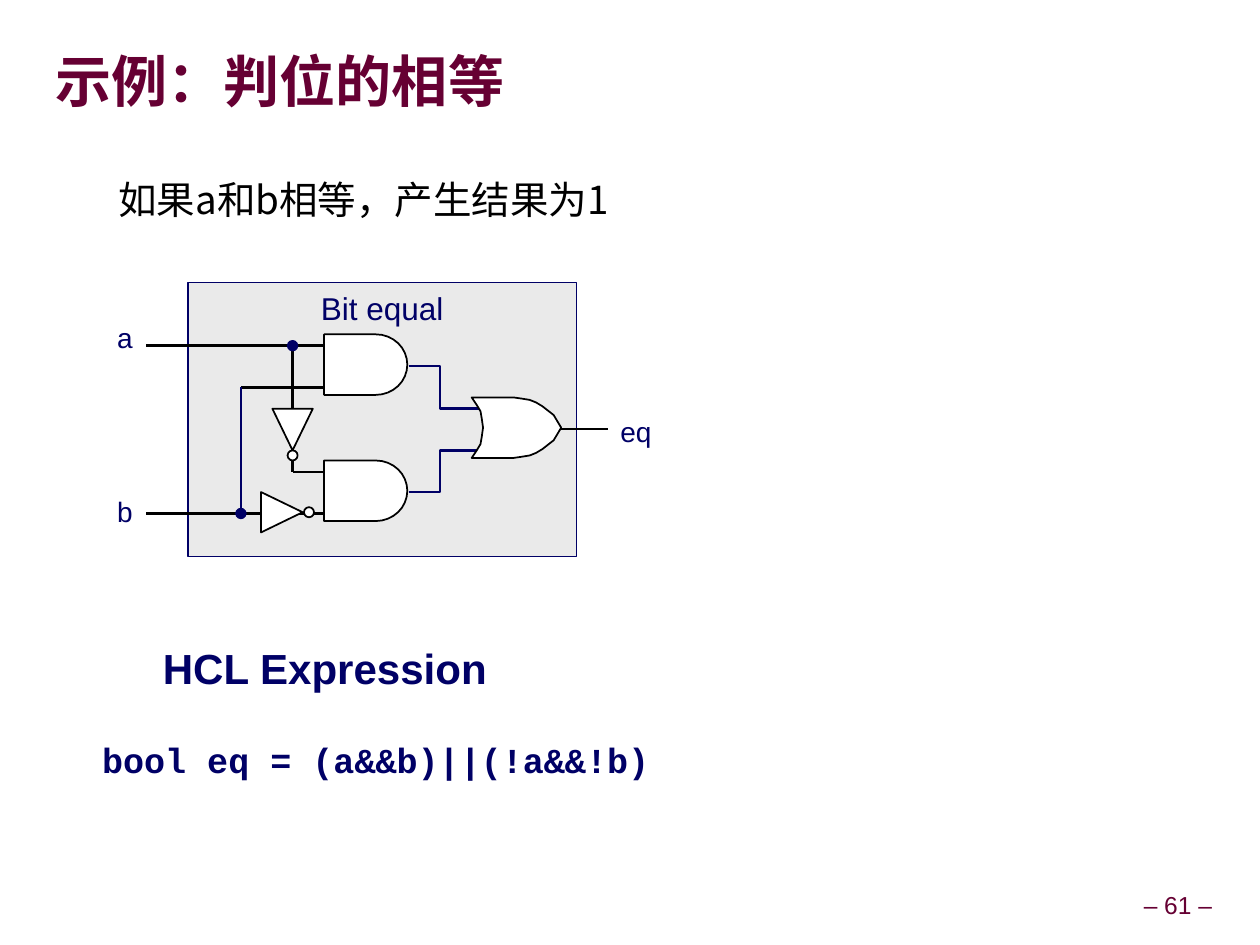
from math import cos, pi, sin

from lxml import etree
from pptx import Presentation
from pptx.dml.color import RGBColor
from pptx.enum.shapes import MSO_CONNECTOR, MSO_SHAPE
from pptx.enum.text import MSO_ANCHOR, MSO_AUTO_SIZE, PP_ALIGN
from pptx.oxml.ns import qn
from pptx.util import Inches, Pt

RECT, OVAL = MSO_SHAPE.RECTANGLE, MSO_SHAPE.OVAL
STRAIGHT = MSO_CONNECTOR.STRAIGHT
LEFT, CENTER, RIGHT = PP_ALIGN.LEFT, PP_ALIGN.CENTER, PP_ALIGN.RIGHT
TOP, MIDDLE = MSO_ANCHOR.TOP, MSO_ANCHOR.MIDDLE
NO_FIT = MSO_AUTO_SIZE.NONE

NAVY, MAROON, BLACK, WHITE, GREY = "000066", "660033", "000000", "FFFFFF", "EAEAEA"
SANS, MONO, CJK = "Arial", "Courier New", "Noto Sans CJK SC"


def rgb(value):
    """Turn a hex string into a colour."""
    return RGBColor.from_string(value)


class CircuitSlide:
    """Hold the slide and draw text, wires and gates on it."""

    def __init__(self, prs):
        """Add a slide with a title and a body."""
        self.s = prs.slides.add_slide(prs.slide_layouts[1])

    def fill_text(self, sp, text, size, color=NAVY, font=SANS, bold=False,
                  align=LEFT, anchor=TOP, inset=(0.1, 0.05), spacing=1.0, wrap=False):
        """Put one formatted paragraph into a shape."""
        tf = sp.text_frame
        tf.auto_size = NO_FIT
        tf.word_wrap = wrap
        tf.vertical_anchor = anchor
        tf.margin_left = tf.margin_right = Inches(inset[0])
        tf.margin_top = tf.margin_bottom = Inches(inset[1])
        p = tf.paragraphs[0]
        p.alignment = align
        p.line_spacing = spacing
        r = p.add_run()
        r.text = text
        r.font.size = Pt(size)
        r.font.bold = bold
        r.font.name = font
        r.font.color.rgb = rgb(color)
        ea = etree.SubElement(r._r.get_or_add_rPr(), qn("a:ea"))
        ea.set("typeface", font)
        return p

    def placeholder(self, idx, box, text, size, **style):
        """Move and fill a template placeholder."""
        sp = self.s.placeholders[idx]
        sp.left, sp.top, sp.width, sp.height = map(Inches, box)
        return self.fill_text(sp, text, size, font=CJK, wrap=True, **style)

    def text(self, box, text, size, **style):
        """Add a text box."""
        sp = self.s.shapes.add_textbox(*map(Inches, box))
        return self.fill_text(sp, text, size, **style)

    def style(self, sp, fill, line, width):
        """Set fill and outline and drop the shadow."""
        sp.shadow.inherit = False
        if fill:
            sp.fill.solid()
            sp.fill.fore_color.rgb = rgb(fill)
        else:
            sp.fill.background()
        sp.line.color.rgb = rgb(line)
        sp.line.width = Pt(width)

    def shape(self, kind, box, fill, line, width):
        """Add a preset shape."""
        sp = self.s.shapes.add_shape(kind, *map(Inches, box))
        self.style(sp, fill, line, width)
        return sp

    def circle(self, x, y, fill, line, width):
        """Add a small circle centred on a point."""
        d = 0.08
        self.shape(OVAL, (x - d / 2, y - d / 2, d, d), fill, line, width)

    def wire(self, x1, y1, x2, y2, color=BLACK):
        """Add a straight wire."""
        cn = self.s.shapes.add_connector(STRAIGHT, *map(Inches, (x1, y1, x2, y2)))
        cn.line.color.rgb = rgb(color)
        cn.line.width = Pt(1.5)
        etree.SubElement(cn._element.spPr, qn("a:effectLst"))

    def outline(self, points, closed=True, fill=WHITE, line=BLACK, width=1):
        """Add a freeform through the given points."""
        pts = [(Inches(x), Inches(y)) for x, y in points]
        fb = self.s.shapes.build_freeform(*pts[0], scale=1.0)
        fb.add_line_segments(pts[1:], close=closed)
        self.style(fb.convert_to_shape(), fill, line, width)

    def and_gate(self, x, y):
        """Add an AND gate from its top left corner."""
        steps = 16
        angles = [-pi / 2 + pi * i / steps for i in range(steps + 1)]
        arc = [(x + 0.41 + 0.25 * cos(a), y + 0.24 + 0.24 * sin(a)) for a in angles]
        self.outline([(x, y), *arc, (x, y + 0.48)])

    def or_gate(self, x, y):
        """Add an OR gate, mirrored about its middle line."""
        front = [(0, 0.24), (0.33, 0.24), (0.4, 0.23), (0.46, 0.22), (0.51, 0.2),
                 (0.56, 0.17), (0.65, 0.1)]
        back = [(0.09, 0), (0.08, 0.07), (0.07, 0.13), (0.04, 0.18)]
        upper = [(dx, -dy) for dx, dy in front]
        inner = back[:0:-1] + [(dx, -dy) for dx, dy in back]
        points = upper + [(0.71, 0)] + front[::-1] + inner
        self.outline([(x + dx, y + dy) for dx, dy in points])


def main():
    """Build the slide and save it."""
    prs = Presentation()
    prs.slide_width, prs.slide_height = Inches(9.99), Inches(7.49)
    c = CircuitSlide(prs)

    c.placeholder(0, (0.44, 0.27, 9.3, 0.81), "示例：判位的相等", 32, color=MAROON,
                  bold=True, anchor=MIDDLE, inset=(0, 0), spacing=0.87)
    p = c.placeholder(1, (0.29, 1.27, 9.07, 0.81), "如果a和b相等，产生结果为1", 22,
                      color=BLACK, spacing=1.2)
    p.level = 1
    p.space_before = Pt(3)
    pPr = p._p.get_or_add_pPr()
    pPr.set("marL", str(Inches(0.55)))
    pPr.set("indent", "0")
    etree.SubElement(pPr, qn("a:buNone"))

    block = c.shape(RECT, (1.49, 2.24, 3.08, 2.17), GREY, NAVY, 0.75)
    c.fill_text(block, "Bit equal", 18, align=CENTER)

    a_y, b_y, out_y = 2.74, 4.07, 3.4
    a_x, b_x, gate_x = 2.32, 1.91, 2.57
    for start, end in ((2.9, 3.24), (3.9, 3.57)):
        c.outline([(3.24, start), (3.49, start), (3.49, end), (3.82, end)],
                  closed=False, fill=None, line=NAVY, width=1.5)
    for ends in ((1.16, a_y, gate_x, a_y), (1.16, b_y, gate_x, b_y),
                 (b_x, 3.07, gate_x, 3.07), (a_x, a_y, a_x, 3.74),
                 (a_x, 3.74, gate_x, 3.74), (4.4, out_y, 4.82, out_y)):
        c.wire(*ends)
    c.wire(b_x, b_y, b_x, 3.07, NAVY)

    c.outline([(2.16, 3.24), (2.48, 3.24), (a_x, 3.57)])
    c.outline([(2.07, 3.9), (2.07, 4.22), (2.4, 4.06)])
    for x, y in ((a_x, 3.61), (2.45, 4.06)):
        c.circle(x, y, WHITE, BLACK, 1)
    for y in (2.65, 3.65):
        c.and_gate(gate_x, y)
    c.or_gate(3.74, 3.39)
    for x, y in ((a_x, a_y), (b_x, b_y)):
        c.circle(x, y, NAVY, NAVY, 0.75)

    for name, y in (("a", 2.49), ("b", 3.87)):
        c.text((0.83, y, 0.32, 0.37), name, 16, align=RIGHT)
    c.text((4.82, 3.24, 0.66, 0.37), "eq", 16, wrap=True)

    label = dict(align=CENTER, inset=(0.05, 0.05), spacing=0.9)
    c.text((1.23, 5.09, 2.69, 0.46), "HCL Expression", 24, bold=True, **label)
    c.text((0.74, 5.84, 4.48, 0.41), "bool eq = (a&&b)||(!a&&!b)", 20,
           font=MONO, bold=True, **label)
    c.text((9.01, 7.03, 0.66, 0.31), "– 61 –", 14, color=MAROON, anchor=MIDDLE, **label)
    prs.save("out.pptx")


if __name__ == "__main__":
    main()
